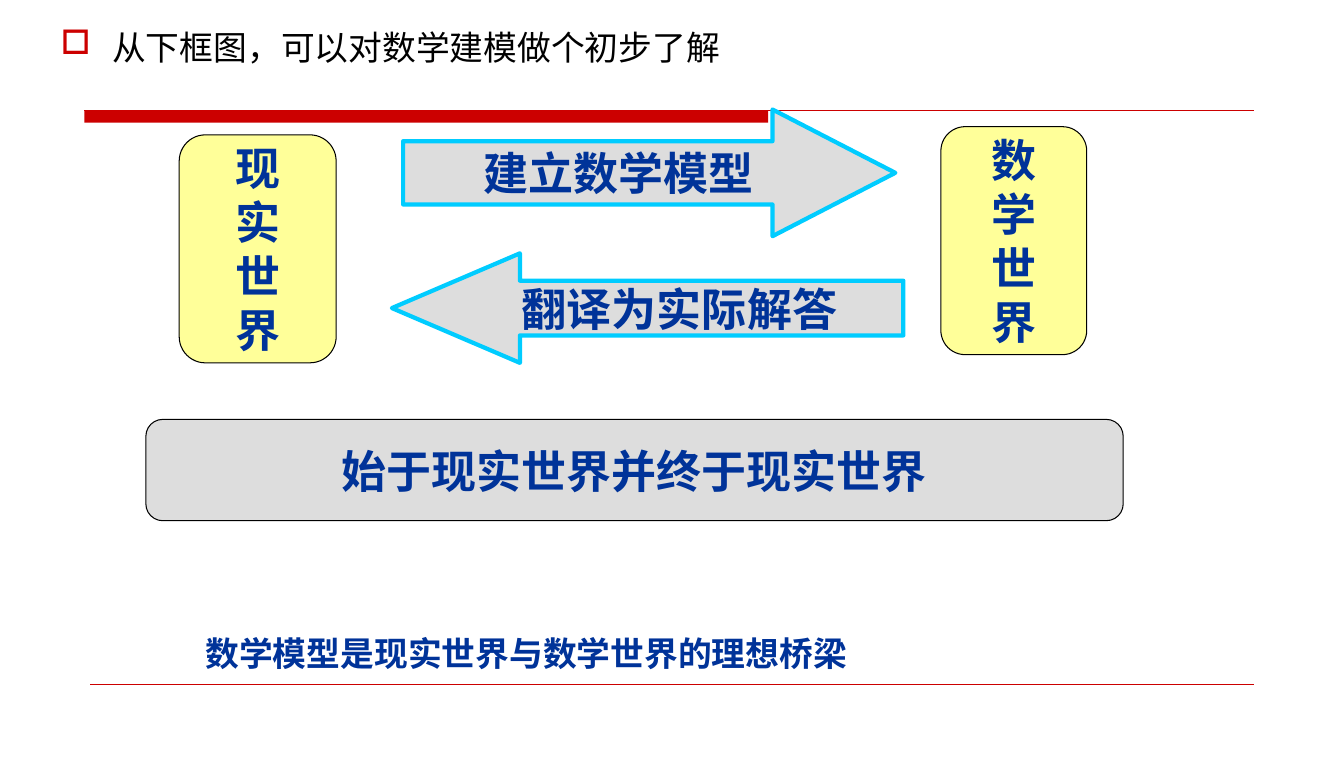
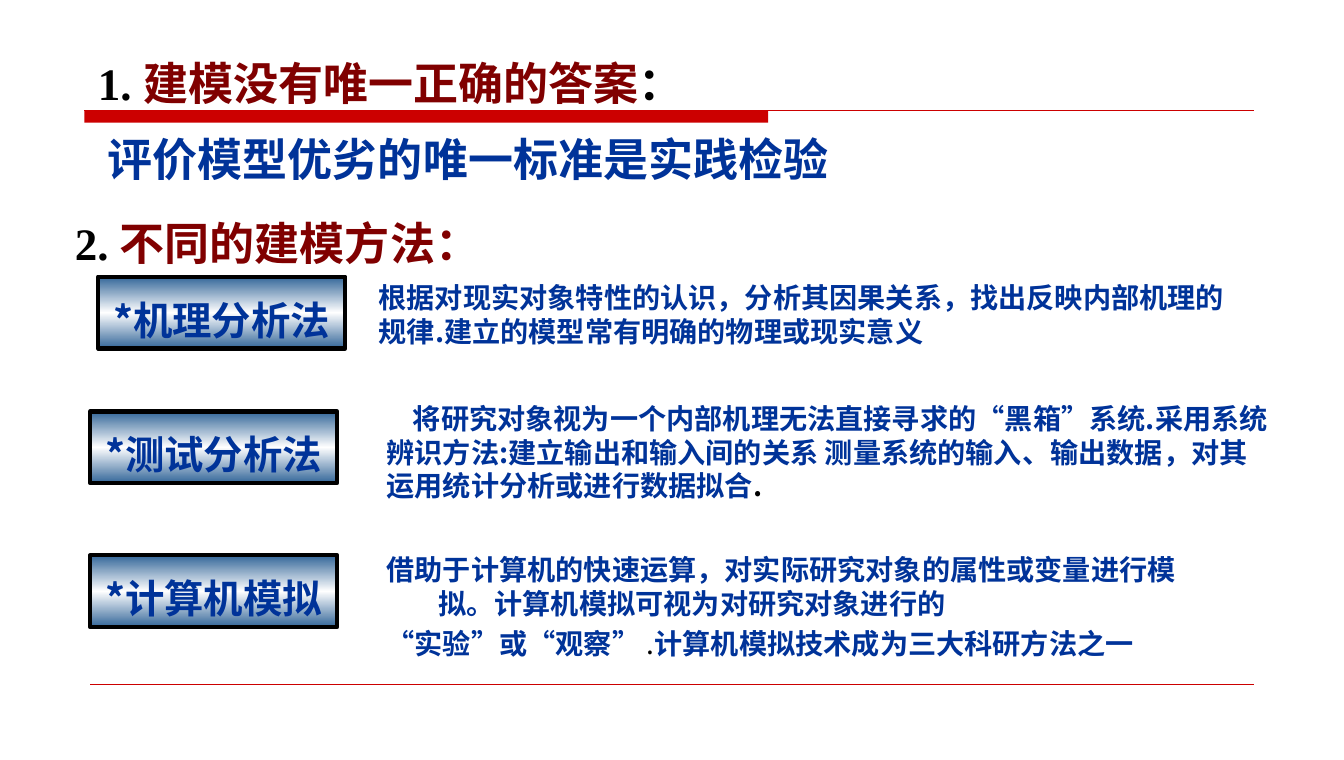
from copy import deepcopy

from lxml import etree
from pptx import Presentation
from pptx.dml.color import RGBColor
from pptx.enum.shapes import MSO_CONNECTOR, MSO_SHAPE
from pptx.enum.text import MSO_ANCHOR, PP_ALIGN
from pptx.oxml.ns import qn
from pptx.util import Pt

RED = RGBColor(0xCC, 0x00, 0x00)
MAROON = RGBColor(0x80, 0x00, 0x00)
NAVY = RGBColor(0x00, 0x33, 0x99)
STEEL = RGBColor(0x33, 0x66, 0x99)
CYAN = RGBColor(0x00, 0xCC, 0xFF)
YELLOW = RGBColor(0xFF, 0xFF, 0x99)
GRAY = RGBColor(0xDD, 0xDD, 0xDD)
BLACK = RGBColor(0x00, 0x00, 0x00)
WHITE = RGBColor(0xFF, 0xFF, 0xFF)

SERIF = "Times New Roman"
SANS = "Noto Sans CJK SC"

ROUNDED = MSO_SHAPE.FLOWCHART_ALTERNATE_PROCESS
RECTANGLE = MSO_SHAPE.RECTANGLE
RIGHT_ARROW = MSO_SHAPE.RIGHT_ARROW
LEFT_ARROW = MSO_SHAPE.LEFT_ARROW
STRAIGHT = MSO_CONNECTOR.STRAIGHT
TOP = MSO_ANCHOR.TOP
MIDDLE = MSO_ANCHOR.MIDDLE
LEFT = PP_ALIGN.LEFT
CENTER = PP_ALIGN.CENTER

LINE_LEFT, LINE_RIGHT = 60, 891.4
HANGING = 36.7


def write(para, text, size=20, color=NAVY, bold=True, font=SANS):
    span = para.add_run()
    span.text = text
    span.font.size = Pt(size)
    span.font.color.rgb = color
    span.font.bold = bold
    span.font.name = font
    east_asian = etree.SubElement(span.font._element, qn("a:ea"))
    east_asian.set("typeface", SANS)


def add_para(frame, align=LEFT, spacing=None, before=0, margin=0, indent=0):
    first = frame.paragraphs[0]
    para = frame.add_paragraph() if first.runs else first
    para.alignment = align
    para.line_spacing = spacing
    para.space_before = Pt(before)
    properties = para._p.get_or_add_pPr()
    properties.set("marL", str(Pt(margin)))
    properties.set("indent", str(Pt(indent)))
    return para


def add_bullet(para, mark, color):
    properties = para._p.get_or_add_pPr()
    bullet_color = etree.SubElement(properties, qn("a:buClr"))
    etree.SubElement(bullet_color, qn("a:srgbClr")).set("val", str(color))
    etree.SubElement(properties, qn("a:buChar")).set("char", mark)


def add_text_box(page, left, top, width, height, wrap=True):
    box = page.shapes.add_textbox(Pt(left), Pt(top), Pt(width), Pt(height))
    box.text_frame.word_wrap = wrap
    return box.text_frame


def add_block(page, kind, left, top, width, height, fill, line=None, weight=0.74):
    block = page.shapes.add_shape(kind, Pt(left), Pt(top), Pt(width), Pt(height))
    block.shadow.inherit = False
    block.fill.solid()
    block.fill.fore_color.rgb = fill
    if line is None:
        block.line.fill.background()
    else:
        block.line.color.rgb = line
        block.line.width = Pt(weight)
    return block


def add_rule(page, left, right, y, weight):
    rule = page.shapes.add_connector(STRAIGHT, Pt(left), Pt(y), Pt(right), Pt(y))
    rule.line.color.rgb = RED
    rule.line.width = Pt(weight)
    etree.SubElement(rule._element.spPr, qn("a:effectLst"))


def add_labelled_block(page, kind, *place, lines, **style):
    block = add_block(page, kind, *place, **style)
    frame = block.text_frame
    frame.word_wrap = False
    frame.vertical_anchor = MIDDLE
    for line in lines:
        write(add_para(frame, align=CENTER), line, size=32, font=SERIF)
    return block


def add_arrow(page, kind, *place, label, head):
    arrow = add_labelled_block(page, kind, *place, lines=[label],
                               fill=GRAY, line=CYAN, weight=3)
    arrow.adjustments[1] = head


def add_method(page, left, top, name):
    box = add_block(page, RECTANGLE, left, top, 175.7, 51, STEEL, BLACK, 3)
    box.fill.gradient()
    box.fill.gradient_angle = 90
    stop_list = box._element.spPr.find(".//" + qn("a:gsLst"))
    stop_list.append(deepcopy(stop_list[0]))
    for index, color in enumerate((STEEL, WHITE, STEEL)):
        stop = box.fill.gradient_stops[index]
        stop.color.rgb = color
        stop.position = index / 2
    box.text_frame.vertical_anchor = TOP
    box.text_frame.word_wrap = True
    write(add_para(box.text_frame, align=CENTER, spacing=1.3), name, size=28)


def add_page(deck):
    page = deck.slides.add_slide(deck.slide_layouts[6])
    add_block(page, RECTANGLE, LINE_LEFT, 78.5, 486, 8.6, RED)
    add_rule(page, LINE_LEFT, LINE_RIGHT, 78.5, 0.74)
    add_rule(page, 64.1, LINE_RIGHT, 486, 0.26)
    return page


def build_overview(deck):
    page = add_page(deck)
    add_labelled_block(page, ROUNDED, 127.4, 95.8, 111.6, 162,
                       lines="现实世界", fill=YELLOW, line=BLACK)
    add_labelled_block(page, ROUNDED, 668.9, 90, 103.7, 162,
                       lines="数学世界", fill=YELLOW, line=BLACK)
    add_arrow(page, RIGHT_ARROW, 286.6, 77.8, 349.9, 90,
              label="建立数学模型", head=0.97)
    add_arrow(page, LEFT_ARROW, 278.6, 180, 363.6, 77.8,
              label="翻译为实际解答", head=1.17)
    add_labelled_block(page, ROUNDED, 103.7, 298, 694.8, 72,
                       lines=["始于现实世界并终于现实世界"], fill=GRAY, line=BLACK)

    bridge = add_text_box(page, 139, 445.7, 537, 36)
    write(add_para(bridge), "数学模型是现实世界与数学世界的理想桥梁", size=24, font=SERIF)

    intro = add_text_box(page, 36, 15.1, 483, 36, wrap=False)
    para = add_para(intro, before=6, margin=HANGING, indent=-HANGING)
    add_bullet(para, "□", RED)
    write(para, "从下框图，可以对数学建模做个初步了解", size=24, color=BLACK, bold=False)


def build_methods(deck):
    page = add_page(deck)
    answer = add_text_box(page, 62.6, 36, 558.7, 99.4)
    para = add_para(answer)
    write(para, "1. ", size=32, color=BLACK, font=SERIF)
    write(para, "建模没有唯一正确的答案", size=32, color=MAROON)
    write(para, "：", size=32, color=BLACK)
    write(add_para(answer, spacing=1.4, margin=7),
          "评价模型优劣的唯一标准是实践检验", size=32)

    heading = add_para(add_text_box(page, 46.1, 149.8, 337.7, 46))
    write(heading, "2. ", size=32, color=BLACK, font=SERIF)
    write(heading, "不同的建模方法：", size=32, color=MAROON)

    add_method(page, 69.8, 196.6, "*机理分析法")
    add_method(page, 64.1, 292.3, "*测试分析法")
    add_method(page, 64.1, 394.6, "*计算机模拟")

    mechanism = add_text_box(page, 262.1, 195.8, 617.8, 55.4)
    write(add_para(mechanism),
          "根据对现实对象特性的认识，分析其因果关系，找出反映内部机理的"
          "规律.建立的模型常有明确的物理或现实意义")

    testing = add_para(add_text_box(page, 267.8, 281.5, 640.8, 79.2),
                       before=5, indent=18.7)
    write(testing, "将研究对象视为一个内部机理无法直接寻求的")
    write(testing, "“", font=SERIF)
    write(testing, "黑箱")
    write(testing, "”", font=SERIF)
    write(testing, "系统.采用系统辨识方法:建立输出和输入间的关系 "
                   "测量系统的输入、输出数据，对其运用统计分析或进行数据拟合")
    write(testing, ".", color=BLACK)

    simulation = add_text_box(page, 267.8, 388.8, 589, 84.2)
    hanging = {"before": 5, "margin": HANGING, "indent": -HANGING}
    write(add_para(simulation, **hanging),
          "借助于计算机的快速运算，对实际研究对象的属性或变量进行模拟。"
          "计算机模拟可视为对研究对象进行的")
    para = add_para(simulation, **hanging)
    write(para, "“实验”或“观察” ")
    write(para, ".", color=BLACK, bold=False)
    write(para, "计算机模拟技术成为三大科研方法之一")


def main():
    deck = Presentation()
    deck.slide_width = Pt(955.44)
    deck.slide_height = Pt(540)
    build_overview(deck)
    build_methods(deck)
    deck.save("out.pptx")


main()
